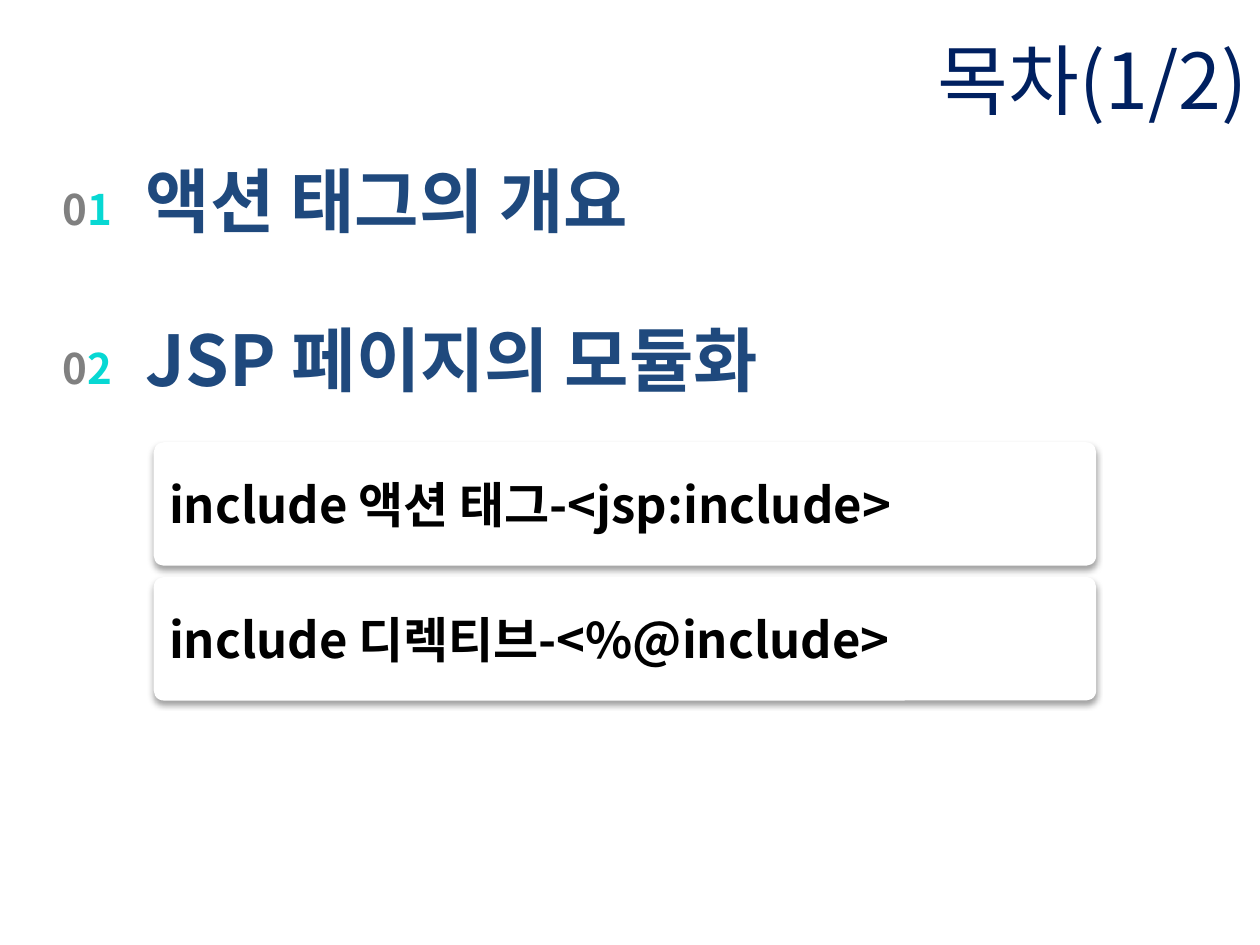
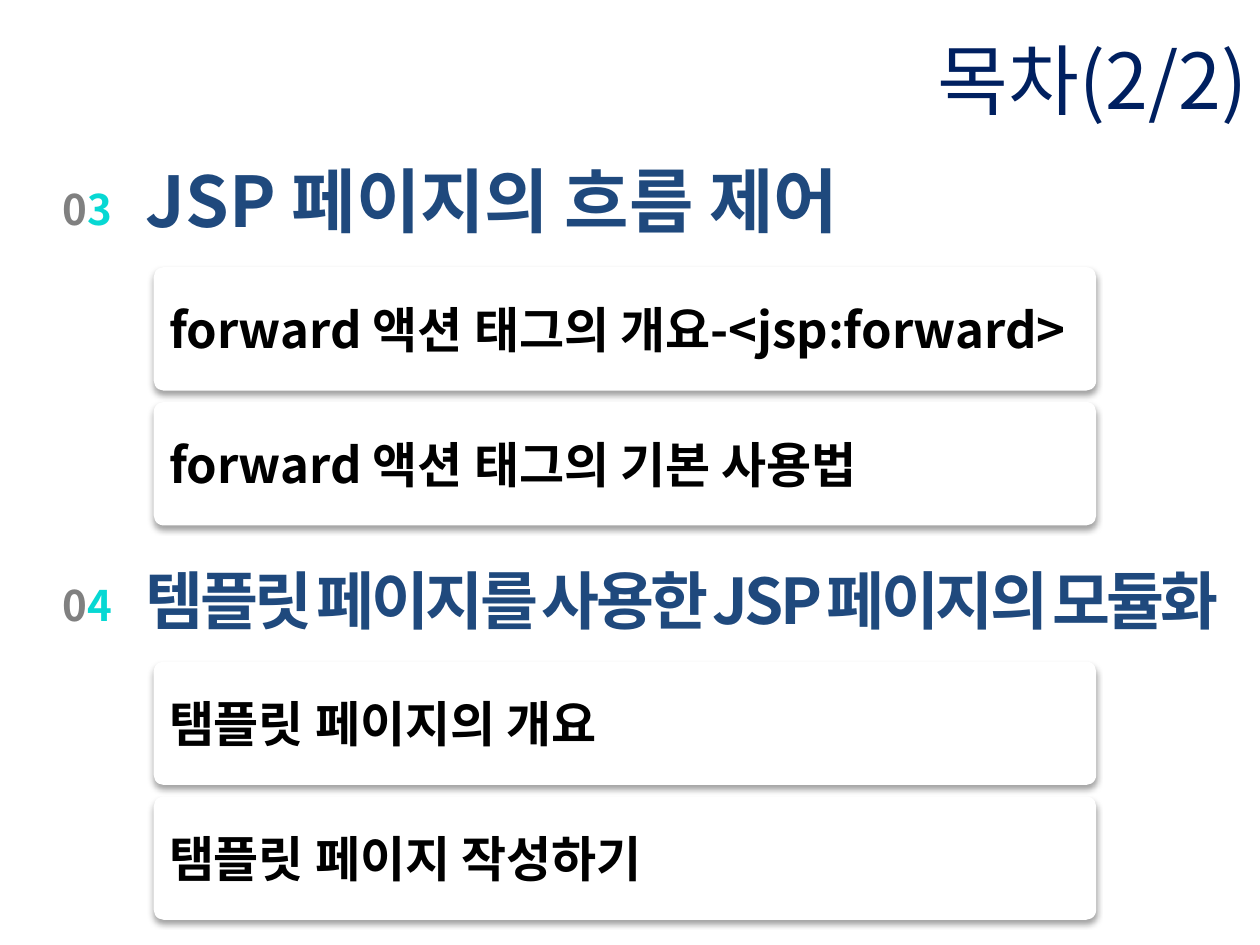
from dataclasses import dataclass

from lxml import etree
from pptx import Presentation
from pptx.dml.color import RGBColor
from pptx.enum.shapes import MSO_SHAPE
from pptx.enum.text import MSO_ANCHOR, MSO_AUTO_SIZE, PP_ALIGN
from pptx.oxml import parse_xml
from pptx.oxml.ns import nsdecls, qn
from pptx.util import Pt

PX = 9144  # EMU per px, 100 px to the inch
ROUND = MSO_SHAPE.ROUNDED_RECTANGLE
MIDDLE = MSO_ANCHOR.MIDDLE
GROW = MSO_AUTO_SIZE.SHAPE_TO_FIT_TEXT
LEFT, CENTER, RIGHT, JUSTIFY = (
    PP_ALIGN.LEFT, PP_ALIGN.CENTER, PP_ALIGN.RIGHT, PP_ALIGN.JUSTIFY)


@dataclass(frozen=True)
class Theme:
    font: str = "Noto Sans CJK KR"
    navy: str = "002060"
    blue: str = "1F497D"
    gray: str = "808080"
    cyan: str = "07D8D3"
    black: str = "000000"
    white: str = "FFFFFF"
    title: int = 44
    head: int = 40
    tight: int = 36
    space: int = 10
    card: int = 28
    number: int = 24
    leading: int = 46


THEME = Theme()

# Each section: number, heading, heading width, top, first card top, cards
PAGES = [
    ("목차(1/2)", [
        ("01", "액션 태그의 개요", 453, 123, 0, []),
        ("02", "JSP 페이지의 모듈화", 543, 249, 351,
         ["include 액션 태그-<jsp:include>", "include 디렉티브-<%@include>"]),
    ]),
    ("목차(2/2)", [
        ("03", "JSP 페이지의 흐름 제어", 619, 123, 212,
         ["forward 액션 태그의 개요-<jsp:forward>",
          "forward 액션 태그의 기본 사용법"]),
        ("04", "템플릿 페이지를 사용한 JSP 페이지의 모듈화", 940, 437, 525,
         ["탬플릿 페이지의 개요", "탬플릿 페이지 작성하기"]),
    ]),
]
CARD_STEP = 107
WIDE = 900  # headings beyond this width are set tight


def box(*lengths):
    return [n * PX for n in lengths]


def write(para, text, size, color, bold=True, align=LEFT, track=0):
    """Add one run to a paragraph."""
    para.alignment = align
    run = para.add_run()
    run.text = text
    font = run.font
    font.name, font.size, font.bold = THEME.font, Pt(size), bold
    font.color.rgb = RGBColor.from_string(color)
    props = run._r.get_or_add_rPr()
    etree.SubElement(props, qn("a:ea"), typeface=THEME.font)
    if track:
        props.set("spc", str(track * 100))


def add_box(slide, x, y, w, h, wrap):
    frame = slide.shapes.add_textbox(*box(x, y, w, h)).text_frame
    frame.word_wrap = wrap
    frame.auto_size = GROW
    return frame.paragraphs[0]


def add_title(slide, text):
    title = slide.shapes.title
    title.left, title.top, title.width, title.height = box(0, 0, 1000, 125)
    frame = title.text_frame
    frame.vertical_anchor = MIDDLE
    write(frame.paragraphs[0], text, THEME.title, THEME.navy,
          bold=False, align=RIGHT)


def add_number(slide, text, y):
    para = add_box(slide, 34, y, 71, 50, True)
    for digit, color in zip(text, (THEME.gray, THEME.cyan)):
        write(para, digit, THEME.number, color, align=CENTER)


def add_head(slide, text, y, width):
    para = add_box(slide, 106, y, width, 75, False)
    para.line_spacing = Pt(THEME.leading)
    if width < WIDE:
        write(para, text, THEME.head, THEME.blue)
        return
    for i, word in enumerate(text.split()):
        if i:
            write(para, " ", THEME.space, THEME.blue, track=-2)
        write(para, word, THEME.tight, THEME.blue, track=-2)


def add_shadow(shape):
    shape._element.spPr.append(parse_xml(
        f'<a:effectLst {nsdecls("a")}>'
        f'<a:outerShdw blurRad="{Pt(3.5)}" dist="{Pt(2.2)}" dir="5400000"'
        ' rotWithShape="0">'
        f'<a:srgbClr val="{THEME.black}"><a:alpha val="36000"/></a:srgbClr>'
        '</a:outerShdw></a:effectLst>'))


def add_card(slide, text, y):
    card = slide.shapes.add_shape(ROUND, *box(122, y, 748, 98))
    card.adjustments[0] = 0.08
    card.fill.solid()
    card.fill.fore_color.rgb = RGBColor.from_string(THEME.white)
    card.line.fill.background()
    add_shadow(card)
    frame = card.text_frame
    frame.word_wrap = True
    frame.vertical_anchor = MIDDLE
    write(frame.paragraphs[0], text, THEME.card, THEME.black, align=JUSTIFY)


def add_part(slide, number, head, width, y, top, cards):
    """Numbered heading with its stack of cards."""
    for i, text in enumerate(cards):
        add_card(slide, text, top + i * CARD_STEP)
    add_head(slide, head, y, width)
    add_number(slide, number, y + 18)


def main():
    deck = Presentation()
    deck.slide_width, deck.slide_height = box(1000, 750)
    layout = deck.slide_layouts.get_by_name("Title Only")
    for title, parts in PAGES:
        slide = deck.slides.add_slide(layout)
        add_title(slide, title)
        for part in parts:
            add_part(slide, *part)
    deck.save("out.pptx")


if __name__ == "__main__":
    main()
